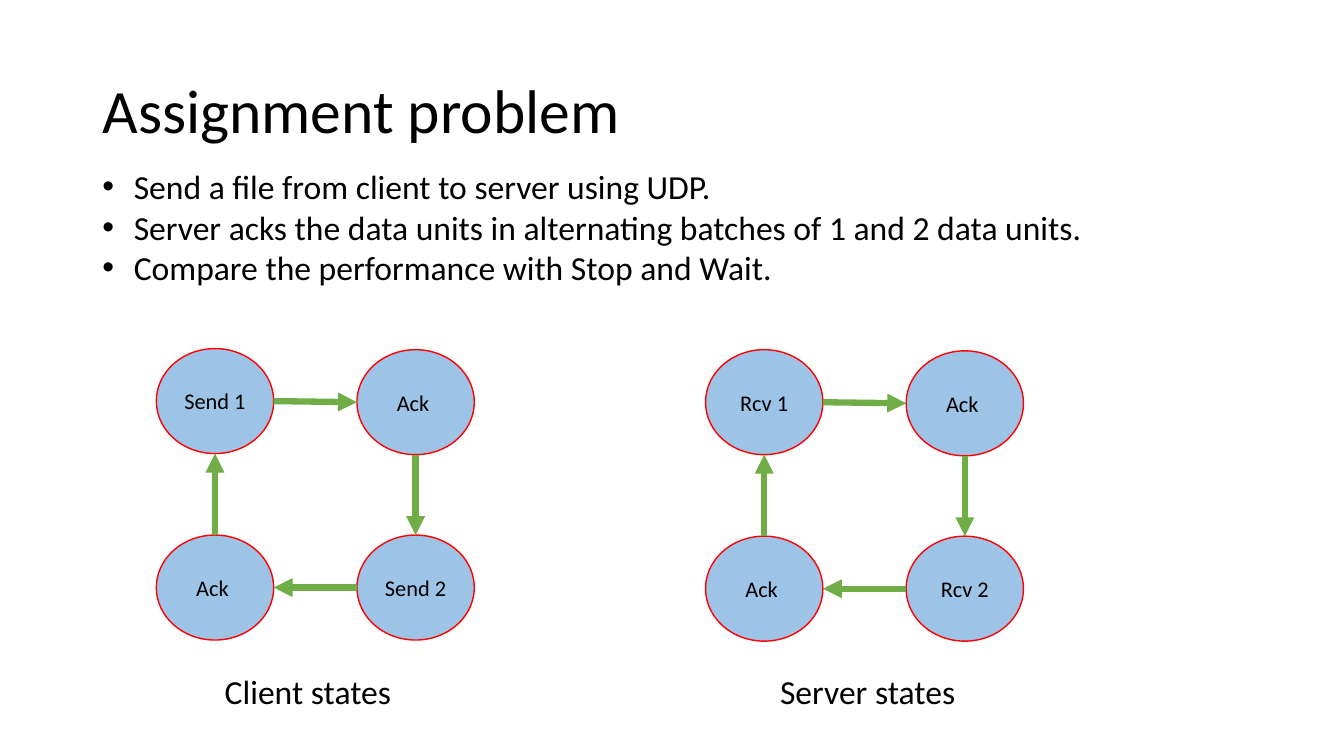
from dataclasses import dataclass

from lxml import etree
from pptx import Presentation
from pptx.dml.color import RGBColor
from pptx.enum.shapes import MSO_CONNECTOR, MSO_SHAPE
from pptx.enum.text import MSO_ANCHOR, MSO_AUTO_SIZE, PP_ALIGN
from pptx.oxml.ns import qn
from pptx.util import Pt

STRAIGHT, ELLIPSE = MSO_CONNECTOR.STRAIGHT, MSO_SHAPE.OVAL
LEFT, CENTER = PP_ALIGN.LEFT, PP_ALIGN.CENTER
TOP, MIDDLE = MSO_ANCHOR.TOP, MSO_ANCHOR.MIDDLE
NO_AUTOFIT = MSO_AUTO_SIZE.NONE


@dataclass(frozen=True)
class Theme:
    font: str = "Calibri"
    ink: RGBColor = RGBColor(0, 0, 0)
    state_fill: RGBColor = RGBColor(0x9D, 0xC3, 0xE6)
    state_line: RGBColor = RGBColor(0xFF, 0, 0)
    arrow: RGBColor = RGBColor(0x70, 0xAD, 0x47)
    title_size: float = 44
    body_size: float = 24
    state_size: float = 16


@dataclass(frozen=True)
class Cycle:
    """Four states, clockwise from the top left, with a caption below."""
    left: float
    top: float
    states: tuple[str, str, str, str]
    caption: str
    caption_left: float


THEME = Theme()
STATE_W, STATE_H = 83.8, 75
COLUMN_STEP, ROW_STEP = 143.3, 133.2
SECOND_STATE_DROP = 0.8
CAPTION_TOP, CAPTION_W, CAPTION_H = 475.9, 181.4, 36
BULLET_INDENT = 22.5

TASKS = (
    "Send a file from client to server using UDP.",
    "Server acks the data units in alternating batches of 1 and 2 data units.",
    "Compare the performance with Stop and Wait.",
)
CYCLES = (
    Cycle(111.7, 249, ("Send 1", "Ack ", "Send 2", "Ack "), "Client states", 153.4),
    Cycle(504, 249.8, ("Rcv 1", "Ack ", "Rcv 2", "Ack "), "Server states", 550.1),
)


def write(frame, *lines: str, size: float, align=LEFT, anchor=TOP,
          spacing: float = 1.0, bullets: bool = False) -> None:
    frame.auto_size = NO_AUTOFIT
    frame.word_wrap = True
    frame.vertical_anchor = anchor
    for number, line in enumerate(lines):
        paragraph = frame.add_paragraph() if number else frame.paragraphs[0]
        paragraph.alignment = align
        paragraph.line_spacing = spacing
        run = paragraph.add_run()
        run.text = line
        run.font.name = THEME.font
        run.font.size = Pt(size)
        run.font.color.rgb = THEME.ink
        if bullets:
            properties = paragraph._p.get_or_add_pPr()
            properties.set("marL", str(Pt(BULLET_INDENT)))
            properties.set("indent", str(-Pt(BULLET_INDENT)))
            etree.SubElement(properties, qn("a:buFont"), typeface="Arial")
            etree.SubElement(properties, qn("a:buChar"), char="•")


def add_text(slide, left: float, top: float, width: float, height: float,
             *lines: str, bullets: bool = False) -> None:
    box = slide.shapes.add_textbox(Pt(left), Pt(top), Pt(width), Pt(height))
    write(box.text_frame, *lines, size=THEME.body_size, bullets=bullets)


def add_state(slide, left: float, top: float, name: str) -> None:
    state = slide.shapes.add_shape(ELLIPSE, Pt(left), Pt(top), Pt(STATE_W), Pt(STATE_H))
    state.shadow.inherit = False
    state.fill.solid()
    state.fill.fore_color.rgb = THEME.state_fill
    state.line.color.rgb = THEME.state_line
    state.line.width = Pt(1)
    # The ellipse leaves little room, so the label uses all of it
    state.text_frame.margin_left = state.text_frame.margin_right = 0
    write(state.text_frame, name, size=THEME.state_size, align=CENTER, anchor=MIDDLE)


def add_arrow(slide, start: tuple[float, float], end: tuple[float, float]) -> None:
    arrow = slide.shapes.add_connector(STRAIGHT, *(Pt(v) for v in start + end))
    arrow.line.color.rgb = THEME.arrow
    arrow.line.width = Pt(4.5)
    etree.SubElement(arrow.line._get_or_add_ln(), qn("a:tailEnd"), type="triangle")
    etree.SubElement(arrow._element.spPr, qn("a:effectLst"))


def add_cycle(slide, cycle: Cycle) -> None:
    right, bottom = cycle.left + COLUMN_STEP, cycle.top + ROW_STEP
    corners = (
        (cycle.left, cycle.top),
        (right, cycle.top + SECOND_STATE_DROP),
        (right, bottom),
        (cycle.left, bottom),
    )
    for (left, top), name in zip(corners, cycle.states):
        add_state(slide, left, top, name)

    # Each arrow leaves one state towards the next, clockwise
    directions = ((1, 0), (0, 1), (-1, 0), (0, -1))
    for number, (dx, dy) in enumerate(directions):
        x, y = corners[number]
        next_x, next_y = corners[(number + 1) % len(corners)]
        start = (x + STATE_W * (1 + dx) / 2, y + STATE_H * (1 + dy) / 2)
        end = (next_x + STATE_W * (1 - dx) / 2, next_y + STATE_H * (1 - dy) / 2)
        add_arrow(slide, start, end)

    add_text(slide, cycle.caption_left, CAPTION_TOP, CAPTION_W, CAPTION_H, cycle.caption)


def main() -> None:
    presentation = Presentation()
    presentation.slide_width, presentation.slide_height = Pt(960), Pt(540)
    slide = presentation.slides.add_slide(presentation.slide_layouts[5])

    # Title
    title = slide.shapes.title
    title.left, title.top, title.width, title.height = Pt(66), Pt(28.8), Pt(828), Pt(104.4)
    write(title.text_frame, "Assignment problem", size=THEME.title_size,
          anchor=MIDDLE, spacing=0.9)

    # State cycles
    for cycle in CYCLES:
        add_cycle(slide, cycle)

    # Tasks
    add_text(slide, 66, 115.2, 715, 123.8, *TASKS, bullets=True)

    presentation.save("out.pptx")


if __name__ == "__main__":
    main()
